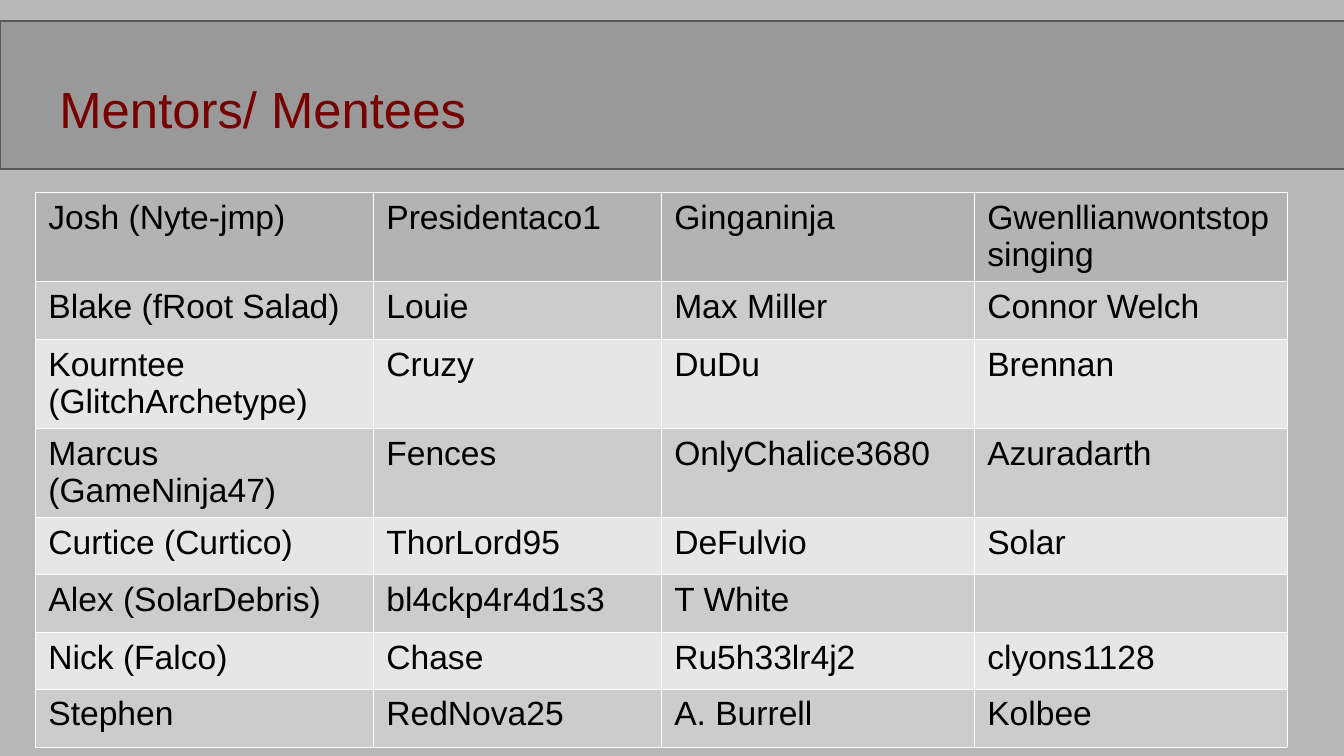
"""Build the mentors and mentees slide."""
from dataclasses import dataclass

from lxml.etree import SubElement as Sub
from pptx import Presentation
from pptx.dml.color import RGBColor as Rgb
from pptx.enum.shapes import MSO_SHAPE as Shape
from pptx.enum.text import MSO_ANCHOR as Anchor, MSO_AUTO_SIZE as AutoSize, PP_ALIGN as Align
from pptx.oxml.ns import qn
from pptx.util import Emu, Pt


@dataclass(frozen=True)
class Theme:
    font: str = "Arial"
    title_size: float = 27.2
    cell_size: float = 18
    background: str = "B7B7B7"
    band: str = "999999"
    band_line: str = "595959"
    title: str = "770000"
    text: str = "000000"
    header: str = "B3B3B3"
    stripes: tuple = ("CCCCCC", "E6E6E6")
    border: str = "FFFFFF"


THEME = Theme()
COLUMNS = (338, 288, 313, 313)
ROWS = (89, 58, 89, 89, 57, 58, 57, 58)
MENTORS = (
    ("Josh (Nyte-jmp)", "Presidentaco1", "Ginganinja", "Gwenllianwontstopsinging"),
    ("Blake (fRoot Salad)", "Louie", "Max Miller", "Connor Welch"),
    ("Kourntee (GlitchArchetype)", "Cruzy", "DuDu", "Brennan"),
    ("Marcus (GameNinja47)", "Fences", "OnlyChalice3680", "Azuradarth"),
    ("Curtice (Curtico)", "ThorLord95", "DeFulvio", "Solar"),
    ("Alex (SolarDebris)", "bl4ckp4r4d1s3", "T White", ""),
    ("Nick (Falco)", "Chase", "Ru5h33lr4j2", "clyons1128"),
    ("Stephen", "RedNova25", "A. Burrell", "Kolbee"),
)


def px(value):
    return Emu(round(value * 914400 / 134.4))


def paint(fill, color):
    fill.solid()
    fill.fore_color.rgb = Rgb.from_string(color)


def write(frame, text, size, color):
    frame.text = text
    para = frame.paragraphs[0]
    para.alignment = Align.LEFT
    para.font.name = THEME.font
    para.font.size = Pt(size)
    para.font.color.rgb = Rgb.from_string(color)


def add_title(page, text):
    title = page.shapes.title
    title.left, title.top, title.width, title.height = map(px, (46, 66, 1253, 85))
    frame = title.text_frame
    frame.auto_size = AutoSize.NONE
    frame.word_wrap = True
    frame.vertical_anchor = Anchor.MIDDLE
    frame.margin_left = frame.margin_right = px(13.44)
    frame.margin_top = frame.margin_bottom = px(13.44)
    write(frame, text, THEME.title_size, THEME.title)


def add_band(page):
    band = page.shapes.add_shape(Shape.RECTANGLE, *map(px, (0, 21, 1347, 148)))
    band.shadow.inherit = False
    paint(band.fill, THEME.band)
    paint(band.line.fill, THEME.band_line)
    band.line.width = Pt(0.75)
    page.shapes.title.element.addprevious(band.element)


def add_borders(cell):
    properties = cell._tc.get_or_add_tcPr()
    for side in ("lnL", "lnR", "lnT", "lnB"):
        line = Sub(properties, qn(f"a:{side}"), w=str(Pt(0.06)))
        fill = Sub(line, qn("a:solidFill"))
        Sub(fill, qn("a:srgbClr"), val=THEME.border)


def add_mentor_table(page):
    frame = page.shapes.add_table(
        len(ROWS), len(COLUMNS), px(35), px(192), px(sum(COLUMNS)), px(sum(ROWS))
    )
    table = frame.table
    table.first_row = table.horz_banding = False
    for column, width in zip(table.columns, COLUMNS):
        column.width = px(width)
    for index, (row, height, names) in enumerate(zip(table.rows, ROWS, MENTORS)):
        row.height = px(height)
        color = THEME.stripes[(index - 1) % 2] if index else THEME.header
        for cell, name in zip(row.cells, names):
            add_borders(cell)
            paint(cell.fill, color)
            write(cell.text_frame, name, THEME.cell_size, THEME.text)


def main():
    deck = Presentation()
    deck.slide_width, deck.slide_height = px(1344), px(756)
    page = deck.slides.add_slide(deck.slide_layouts[5])
    paint(page.background.fill, THEME.background)
    add_title(page, "Mentors/ Mentees")
    add_band(page)
    add_mentor_table(page)
    deck.save("out.pptx")


main()
